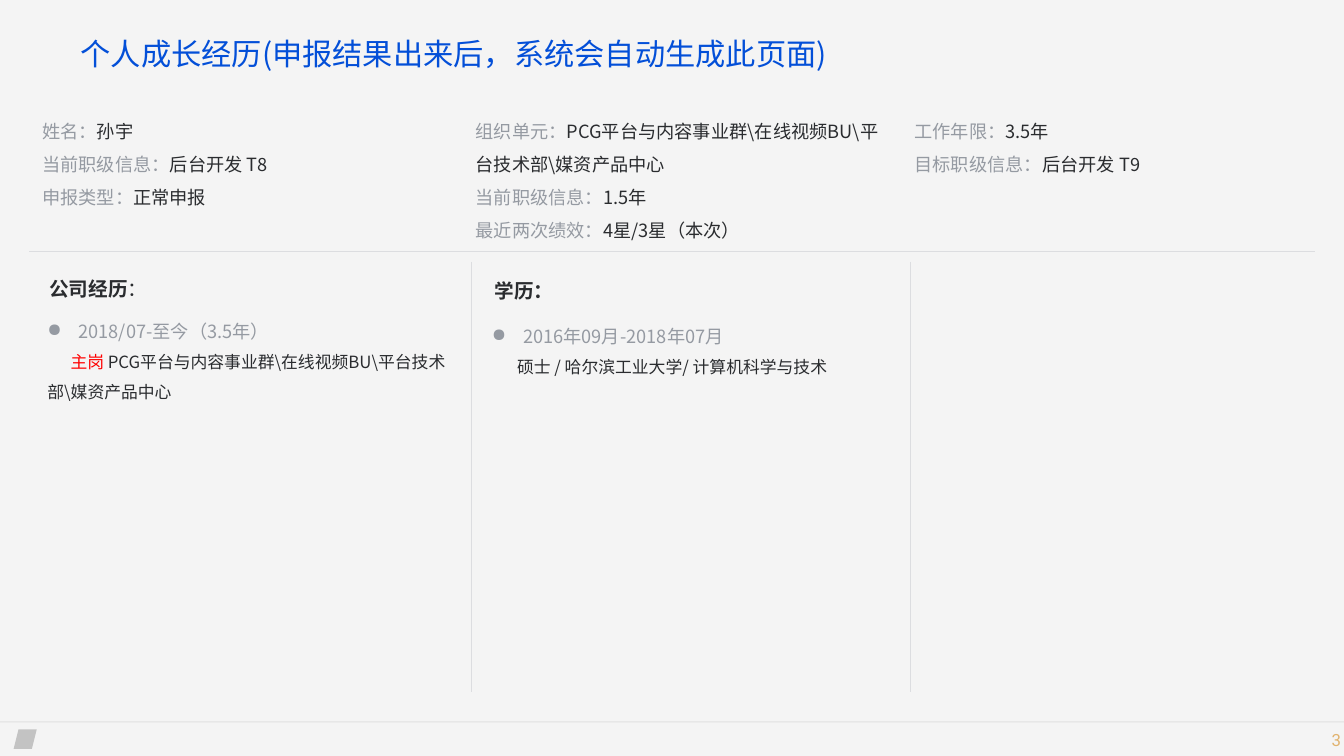
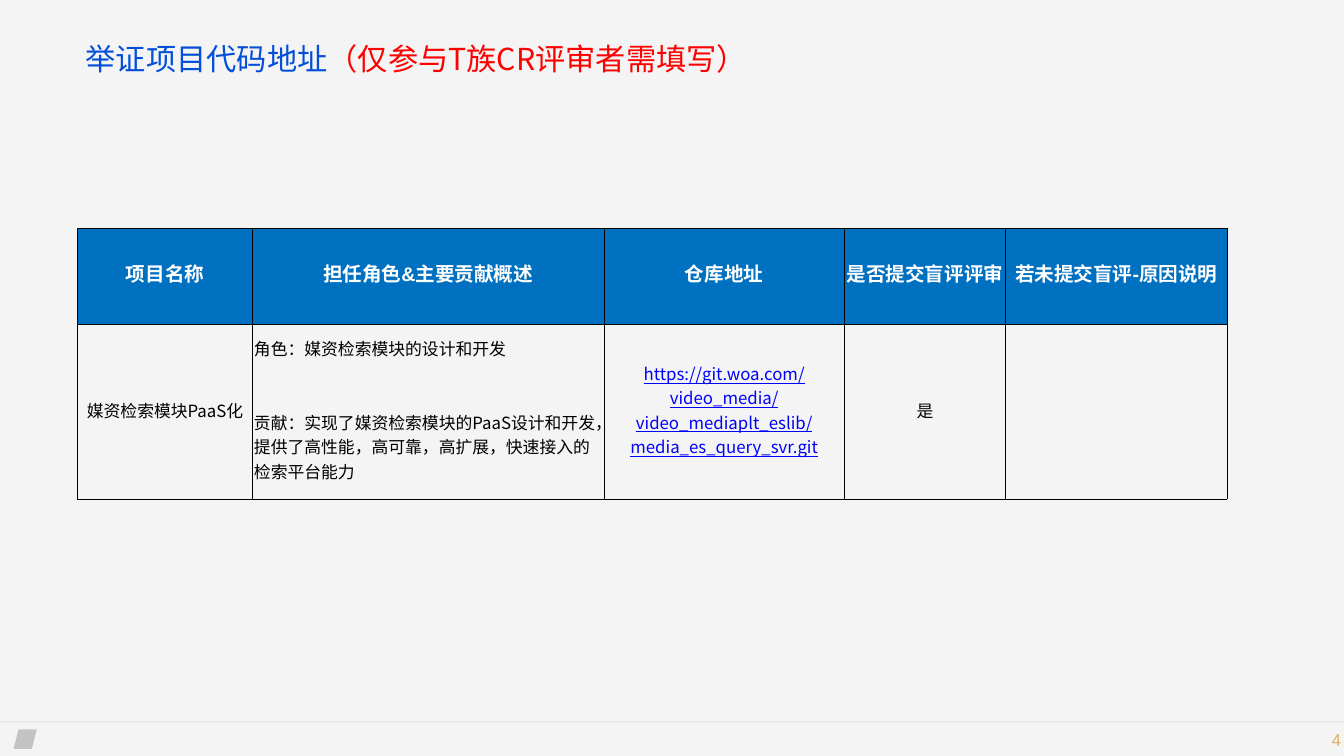
"""Builds the career history page and the project repository page."""
from lxml.etree import SubElement
from pptx import Presentation
from pptx.dml.color import RGBColor
from pptx.enum.shapes import MSO_CONNECTOR as Connector, MSO_SHAPE as Shape
from pptx.enum.text import MSO_ANCHOR as Anchor, MSO_AUTO_SIZE as AutoSize, PP_ALIGN as Align
from pptx.oxml.ns import qn
from pptx.util import Pt

PX = 9144
WIDTH, HEIGHT = 2667, 1500
SANS, TITLE_FONT = "Noto Sans CJK SC", "Noto Sans CJK JP"
COLORS = {
    "page": "F4F4F4", "title": "034FD8", "label": "959AA2", "text": "2A2C2F",
    "red": "FF0000", "rule": "DCDDE0", "number": "E1B36F", "header": "0070C0",
    "link": "0000FF", "black": "000000", "white": "FFFFFF",
}
ORGANISATION = "PCG平台与内容事业群\\在线视频BU\\平台技术部\\媒资产品中心"
PROFILE = [
    (74, 850, [("姓名：", "孙宇"), ("当前职级信息：", "后台开发 T8"), ("申报类型：", "正常申报")]),
    (934, 850, [("组织单元：", ORGANISATION), ("当前职级信息：", "1.5年"),
                ("最近两次绩效：", "4星/3星（本次）")]),
    (1805, 838, [("工作年限：", "3.5年"), ("目标职级信息：", "后台开发 T9")]),
]
COLUMN_WIDTHS = [347, 697, 478, 319, 440]
HEADERS = ["项目名称", "担任角色&主要贡献概述", "仓库地址", "是否提交盲评评审", "若未提交盲评-原因说明"]
PROJECT = [
    ["媒资检索模块PaaS化"],
    ["角色：媒资检索模块的设计和开发",
     "贡献：实现了媒资检索模块的PaaS设计和开发，提供了高性能，高可靠，高扩展，快速接入的检索平台能力"],
    ["https://git.woa.com/video_media/video_mediaplt_eslib/media_es_query_svr.git"],
    ["是"],
    [],
]


def rgb(name):
    return RGBColor.from_string(COLORS[name])


def px(*lengths):
    return [length * PX for length in lengths]


def add_span(para, text, size=26, color="text", font=SANS, bold=False, underline=False):
    span = para.add_run()
    span.text = text
    span.font.size = Pt(size)
    span.font.name = font
    span.font.bold = bold
    span.font.underline = underline
    span.font.color.rgb = rgb(color)
    SubElement(span._r.get_or_add_rPr(), qn("a:ea"), typeface=font)


def add_para(frame, spans, align=Align.LEFT, spacing=1.0, before=0, margin=0, indent=0,
             bullet=None):
    """Write one paragraph from (text, format) pairs, reusing an empty first one."""
    first = frame.paragraphs[0]
    para = frame.add_paragraph() if first.runs else first
    para.alignment = align
    para.line_spacing = spacing
    para.space_before = Pt(before)
    properties = para._p.get_or_add_pPr()
    properties.set("marL", str(margin * PX))
    properties.set("indent", str(indent * PX))
    if bullet:
        SubElement(properties, qn("a:buChar"), char=bullet)
    for text, style in spans:
        add_span(para, text, **style)


def set_insets(target, left, top, right, bottom):
    target.margin_left, target.margin_top, target.margin_right, target.margin_bottom = px(
        left, top, right, bottom)


def add_box(page, left, top, width, height, insets=(10, 5, 10, 5), anchor=Anchor.TOP):
    frame = page.shapes.add_textbox(*px(left, top, width, height)).text_frame
    frame.word_wrap = True
    frame.vertical_anchor = anchor
    set_insets(frame, *insets)
    return frame


def add_tint(page, kind, left, top, width, height, opacity):
    shape = page.shapes.add_shape(kind, *px(left, top, width, height))
    shape.shadow.inherit = False
    shape.line.fill.background()
    shape.fill.solid()
    shape.fill.fore_color.rgb = rgb("black")
    color = shape.fill._xPr.find(qn("a:solidFill"))[0]
    SubElement(color, qn("a:alpha"), val=str(opacity * 1000))


def add_rule(page, *ends):
    rule = page.shapes.add_connector(Connector.STRAIGHT, *px(*ends))
    rule.line.color.rgb = rgb("rule")
    rule.line.width = Pt(0.25)
    SubElement(rule._element.spPr, qn("a:effectLst"))


def add_page(deck, number, title_spans, left, top, width):
    """Add a page with its title and the common footer."""
    page = deck.slides.add_slide(deck.slide_layouts[5])
    add_tint(page, Shape.RECTANGLE, 0, 1431, WIDTH, 3, 5)
    add_tint(page, Shape.PARALLELOGRAM, 27, 1447, 46, 39, 20)
    footer = add_box(page, 0, 1441, WIDTH, 51, (6, 6, 6, 6))
    add_para(footer, [(str(number), dict(size=24, color="number", font="Roboto"))], Align.RIGHT)
    title = page.shapes.title
    title.left, title.top, title.width, title.height = px(left, top, width, 68)
    frame = title.text_frame
    frame.auto_size = AutoSize.NONE
    frame.word_wrap = True
    frame.vertical_anchor = Anchor.BOTTOM
    set_insets(frame, 6, 6, 6, 6)
    add_para(frame, [(text, dict(size=43.2, color=color, font=TITLE_FONT))
                     for text, color in title_spans], spacing=0.8)
    return page


def add_profile(page, left, width, facts):
    frame = add_box(page, left, 213, width, 69 * len(facts))
    for label, value in facts:
        add_para(frame, [(label, dict(color="label")), (value, {})], spacing=1.5)


def add_heading(page, left, top, width, spans):
    frame = add_box(page, left, top, width, 93, (11, 11, 11, 11), Anchor.MIDDLE)
    add_para(frame, [(text, dict(size=28, bold=bold)) for text, bold in spans], spacing=1.5)


def add_history(page, left, top, width, period, details, indent):
    frame = add_box(page, left, top, width, 771, (11, 11, 11, 11))
    add_para(frame, [(period, dict(color="label"))], spacing=1.5, margin=62, indent=-62,
             bullet="●")
    add_para(frame, [(text, dict(size=24, color=color)) for text, color in details],
             spacing=1.5, indent=indent)


def format_cell(cell, fill=None):
    cell.vertical_anchor = Anchor.MIDDLE
    set_insets(cell, 3, 3, 3, 10)
    properties = cell._tc.get_or_add_tcPr()
    for side in ("lnL", "lnR", "lnT", "lnB"):
        border = SubElement(properties, qn("a:" + side), w=str(Pt(0.5)))
        SubElement(SubElement(border, qn("a:solidFill")), qn("a:srgbClr"), val=COLORS["black"])
    if fill:
        cell.fill.solid()
        cell.fill.fore_color.rgb = rgb(fill)
    else:
        cell.fill.background()


def add_project_table(page):
    table = page.shapes.add_table(
        2, len(HEADERS), *px(154, 453, sum(COLUMN_WIDTHS), 537)).table
    table.horz_banding = False
    for row, height in zip(table.rows, px(190, 347)):
        row.height = height
    for index, (header, texts) in enumerate(zip(HEADERS, PROJECT)):
        table.columns[index].width = COLUMN_WIDTHS[index] * PX
        top, body = table.cell(0, index), table.cell(1, index)
        format_cell(top, "header")
        format_cell(body)
        add_para(top.text_frame,
                 [(header, dict(size=28, color="white", font="Arial", bold=True))], Align.CENTER)
        is_link = header == "仓库地址"
        style = dict(size=24, color="link" if is_link else "black", underline=is_link)
        align = Align.LEFT if len(texts) > 1 else Align.CENTER
        for position, text in enumerate(texts):
            add_para(body.text_frame, [(text, style)], align, before=70 * position)


def build_history_page(deck):
    page = add_page(deck, 3, [("个人成长经历(申报结果出来后，系统会自动生成此页面)", "title")],
                    154, 79, 2483)
    for left, width, facts in PROFILE:
        add_profile(page, left, width, facts)
    add_rule(page, 58, 498, 2610, 498)
    for left in (934, 1805):
        add_rule(page, left, 519, left, 1374)
    add_heading(page, 87, 514, 240, [("公司经历", True), ("：", False)])
    add_history(page, 83, 602, 833, "2018/07-至今（3.5年）",
                [("主岗 ", "red"), (ORGANISATION, "text")], 46)
    add_heading(page, 971, 519, 261, [("学历：", True)])
    add_history(page, 965, 612, 787, "2016年09月-2018年07月",
                [("硕士 / 哈尔滨工业大学/ 计算机科学与技术", "text")], 50)


def build_project_page(deck):
    page = add_page(deck, 4, [("举证项目代码地址", "title"),
                              ("（仅参与T族CR评审者需填写）", "red")], 164, 90, 2440)
    add_project_table(page)


def main():
    deck = Presentation()
    deck.slide_width, deck.slide_height = px(WIDTH, HEIGHT)
    background = deck.slide_master.background.fill
    background.solid()
    background.fore_color.rgb = rgb("page")
    build_history_page(deck)
    build_project_page(deck)
    deck.save("out.pptx")


if __name__ == "__main__":
    main()
